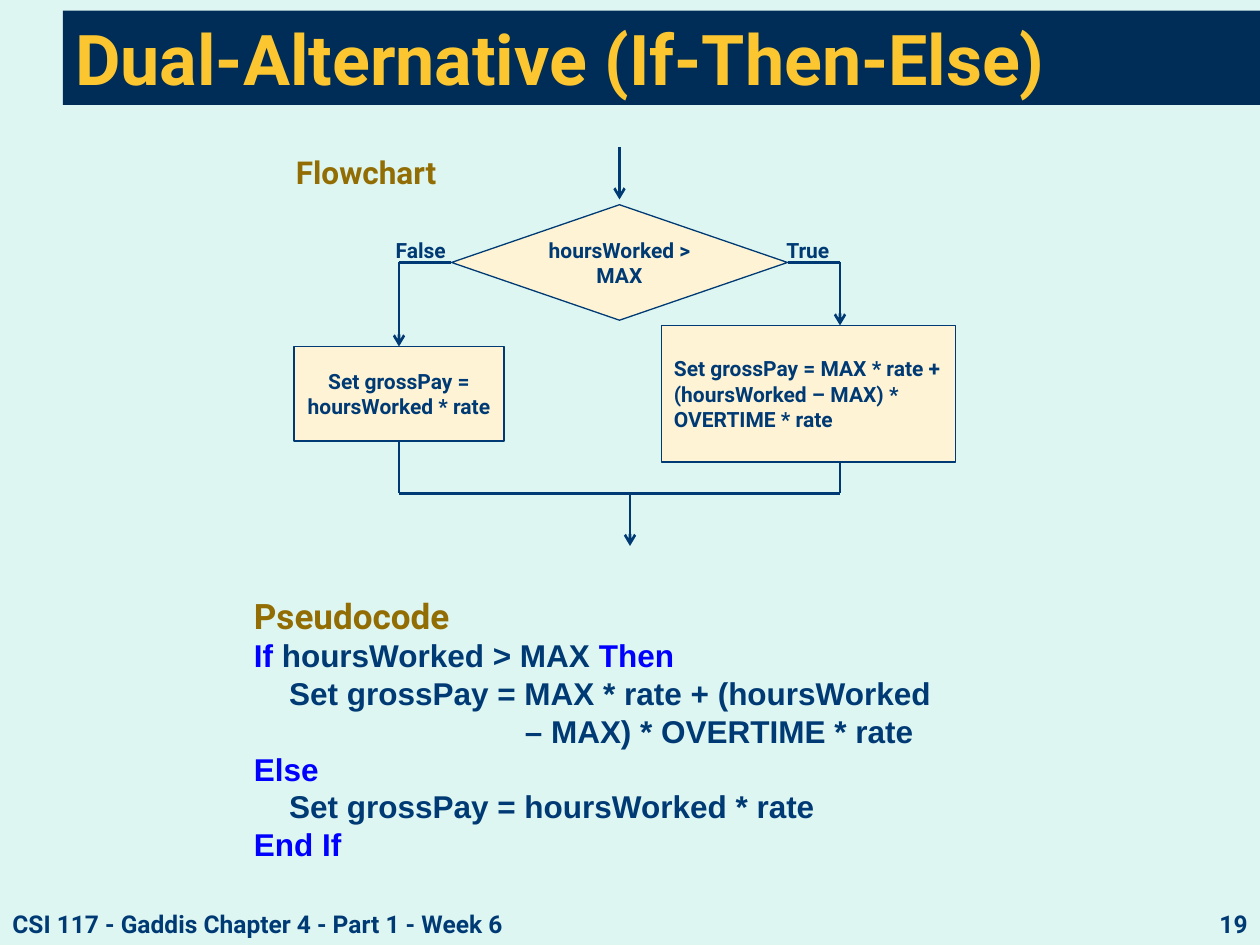
"""Build the dual-alternative (If-Then-Else) flowchart and pseudocode slide."""
from dataclasses import dataclass
from typing import Any, NamedTuple, Optional

from lxml import etree
from pptx import Presentation
from pptx.dml.color import RGBColor
from pptx.enum.shapes import MSO_CONNECTOR, MSO_SHAPE
from pptx.enum.text import MSO_ANCHOR, PP_ALIGN
from pptx.oxml.ns import qn
from pptx.util import Emu, Inches, Pt

RECTANGLE = MSO_SHAPE.RECTANGLE
DECISION = MSO_SHAPE.FLOWCHART_DECISION
STRAIGHT = MSO_CONNECTOR.STRAIGHT
LEFT, CENTER, RIGHT = PP_ALIGN.LEFT, PP_ALIGN.CENTER, PP_ALIGN.RIGHT
TOP, MIDDLE = MSO_ANCHOR.TOP, MSO_ANCHOR.MIDDLE
CELLS_PER_INCH = 12


@dataclass(frozen=True)
class Theme:
    """Colours, fonts and sizes of the slide."""
    background: str = "DEF6F1"
    banner: str = "002C58"
    title: str = "FBC62F"
    ink: str = "003A74"
    node: str = "FEF4D5"
    heading: str = "926D03"
    keyword: str = "0000FF"
    font: str = "Roboto"
    code_font: str = "Arial"
    title_size: int = 40
    pseudocode_size: int = 20
    heading_size: int = 18
    footer_size: int = 14
    node_size: int = 12
    outline: float = 0.75
    flow: float = 1.5


THEME = Theme()


class Area(NamedTuple):
    """A rectangle in grid cells."""
    column: float
    row: float
    columns: float
    rows: float


class Style(NamedTuple):
    """The look of a piece of text."""
    size: int
    color: str = THEME.ink
    font: str = THEME.font


class Label(NamedTuple):
    """A text with its place and look."""
    area: Area
    text: str
    style: Style
    align: Any = LEFT
    wrap: bool = True
    fill: Optional[str] = None


class Node(NamedTuple):
    """A step of the flowchart."""
    preset: Any
    area: Area
    text: str
    align: Any


class Flow(NamedTuple):
    """A flow line between two grid points."""
    start: tuple[float, float]
    end: tuple[float, float]
    arrow: bool = False


class CodeLine(NamedTuple):
    """A pseudocode line of (text, colour) pieces with an indent in inches."""
    pieces: tuple[tuple[str, str], ...]
    indent: float = 0


NODE_STYLE = Style(THEME.node_size)
FOOTER_STYLE = Style(THEME.footer_size)
HEADING_STYLE = Style(THEME.heading_size, THEME.heading)
FALSE_COLUMN, TRUE_COLUMN = 38, 80
BRANCH_ROW, MERGE_ROW = 25, 47
CHART_AREA = Area(27, 14, 66, 38)
TITLE = Label(Area(6, 1, 114, 9), "Dual-Alternative (If-Then-Else)",
              Style(THEME.title_size, THEME.title), fill=THEME.banner)
FOOTERS = (
    Label(Area(0, 86, 69, 4), "CSI 117 - Gaddis Chapter 4 - Part 1 - Week 6", FOOTER_STYLE),
    Label(Area(92, 86, 28, 3.4), "19", FOOTER_STYLE, RIGHT),
)
NODES = (
    Node(RECTANGLE, Area(28, 33, 20, 9), "Set grossPay = hoursWorked * rate", CENTER),
    Node(DECISION, Area(43, 19.5, 32, 11), "hoursWorked > MAX", CENTER),
    Node(RECTANGLE, Area(63, 31, 28, 13),
         "Set grossPay = MAX * rate + (hoursWorked – MAX) * OVERTIME * rate", LEFT),
)
FLOWS = (
    Flow((59, 14), (59, 19), True),
    Flow((FALSE_COLUMN, BRANCH_ROW), (43, BRANCH_ROW)),
    Flow((FALSE_COLUMN, BRANCH_ROW), (FALSE_COLUMN, 33), True),
    Flow((75, BRANCH_ROW), (TRUE_COLUMN, BRANCH_ROW)),
    Flow((TRUE_COLUMN, BRANCH_ROW), (TRUE_COLUMN, 31), True),
    Flow((FALSE_COLUMN, 42), (FALSE_COLUMN, MERGE_ROW)),
    Flow((TRUE_COLUMN, 44), (TRUE_COLUMN, MERGE_ROW)),
    Flow((FALSE_COLUMN, MERGE_ROW), (TRUE_COLUMN, MERGE_ROW)),
    Flow((60, MERGE_ROW), (60, 52), True),
)
BRANCH_LABELS = (
    Label(Area(36.5, 22, 7.7, 3.6), "False", NODE_STYLE, wrap=False),
    Label(Area(73.7, 22, 7.1, 3.6), "True", NODE_STYLE, wrap=False),
)
FLOWCHART_HEADING = Label(Area(27, 14, 19, 4.8), "Flowchart", HEADING_STYLE)
PSEUDOCODE_AREA = Area(23, 56, 74, 27.1)
PSEUDOCODE = (
    CodeLine((("If ", THEME.keyword), ("hoursWorked > MAX ", THEME.ink), ("Then", THEME.keyword))),
    CodeLine((("Set grossPay = MAX * rate + (hoursWorked", THEME.ink),), 0.28),
    CodeLine((("– MAX) * OVERTIME * rate", THEME.ink),), 2.15),
    CodeLine((("Else", THEME.keyword),)),
    CodeLine((("Set grossPay = hoursWorked * rate", THEME.ink),), 0.28),
    CodeLine((("End If", THEME.keyword),)),
)


def cells(count: float) -> Emu:
    """Convert grid cells to a length."""
    return Inches(count / CELLS_PER_INCH)


def format_font(font: Any, style: Style) -> None:
    """Apply a bold text style to a font."""
    font.name, font.size, font.bold = style.font, Pt(style.size), True
    font.color.rgb = RGBColor.from_string(style.color)


def write(shape: Any, text: str, style: Style, align: Any, anchor: Any, wrap: bool = True) -> None:
    """Put one formatted paragraph in a shape."""
    frame = shape.text_frame
    frame.text, frame.word_wrap, frame.vertical_anchor = text, wrap, anchor
    paragraph = frame.paragraphs[0]
    paragraph.alignment = align
    format_font(paragraph.runs[0].font, style)


def add_block(shapes: Any, area: Area, fill: str, preset: Any = RECTANGLE,
              line: Optional[str] = None) -> Any:
    """Add a filled shape, outlined when a line colour is given."""
    shape = shapes.add_shape(preset, *map(cells, area))
    shape.shadow.inherit = False
    shape.fill.solid()
    shape.fill.fore_color.rgb = RGBColor.from_string(fill)
    if line:
        shape.line.color.rgb = RGBColor.from_string(line)
        shape.line.width = Pt(THEME.outline)
    else:
        shape.line.fill.background()
    return shape


def add_label(shapes: Any, label: Label) -> None:
    """Add a text box, or a filled bar with centred height."""
    if label.fill:
        shape = add_block(shapes, label.area, label.fill)
    else:
        shape = shapes.add_textbox(*map(cells, label.area))
    write(shape, label.text, label.style, label.align, MIDDLE if label.fill else TOP, label.wrap)


def add_flow(shapes: Any, flow: Flow) -> None:
    """Add a flow line with an optional arrowhead."""
    connector = shapes.add_connector(STRAIGHT, *map(cells, flow.start + flow.end))
    connector.line.color.rgb = RGBColor.from_string(THEME.ink)
    connector.line.width = Pt(THEME.flow)
    properties = connector._element.spPr
    if flow.arrow:
        etree.SubElement(properties.find(qn("a:ln")), qn("a:tailEnd"), type="arrow")
    etree.SubElement(properties, qn("a:effectLst"))


def add_flowchart(slide: Any) -> None:
    """Draw the grouped flowchart on its panel."""
    shapes = slide.shapes.add_group_shape().shapes
    add_block(shapes, CHART_AREA, THEME.background)
    for node in NODES:
        shape = add_block(shapes, node.area, THEME.node, node.preset, THEME.ink)
        write(shape, node.text, NODE_STYLE, node.align, MIDDLE)
    for flow in FLOWS:
        add_flow(shapes, flow)
    for label in BRANCH_LABELS:
        add_label(shapes, label)


def add_pseudocode(slide: Any) -> None:
    """Draw the pseudocode panel with coloured keywords."""
    shape = add_block(slide.shapes, PSEUDOCODE_AREA, THEME.background)
    color = shape.fill._xPr.find(qn("a:solidFill"))[0]
    etree.SubElement(color, qn("a:alpha"), val="87000")
    write(shape, "Pseudocode", Style(THEME.pseudocode_size, THEME.heading), LEFT, TOP)
    for line in PSEUDOCODE:
        paragraph = shape.text_frame.add_paragraph()
        paragraph.alignment = LEFT
        paragraph._p.get_or_add_pPr().set("marL", str(Inches(line.indent)))
        for text, ink in line.pieces:
            run = paragraph.add_run()
            run.text = text
            format_font(run.font, Style(THEME.heading_size, ink, THEME.code_font))


def main() -> None:
    """Build and save the presentation."""
    presentation = Presentation()
    presentation.slide_width, presentation.slide_height = cells(120), cells(90)
    slide = presentation.slides.add_slide(presentation.slide_layouts[6])
    slide.background.fill.solid()
    slide.background.fill.fore_color.rgb = RGBColor.from_string(THEME.background)
    for label in (TITLE, *FOOTERS):
        add_label(slide.shapes, label)
    add_flowchart(slide)
    add_label(slide.shapes, FLOWCHART_HEADING)
    add_pseudocode(slide)
    presentation.save("out.pptx")


if __name__ == "__main__":
    main()
